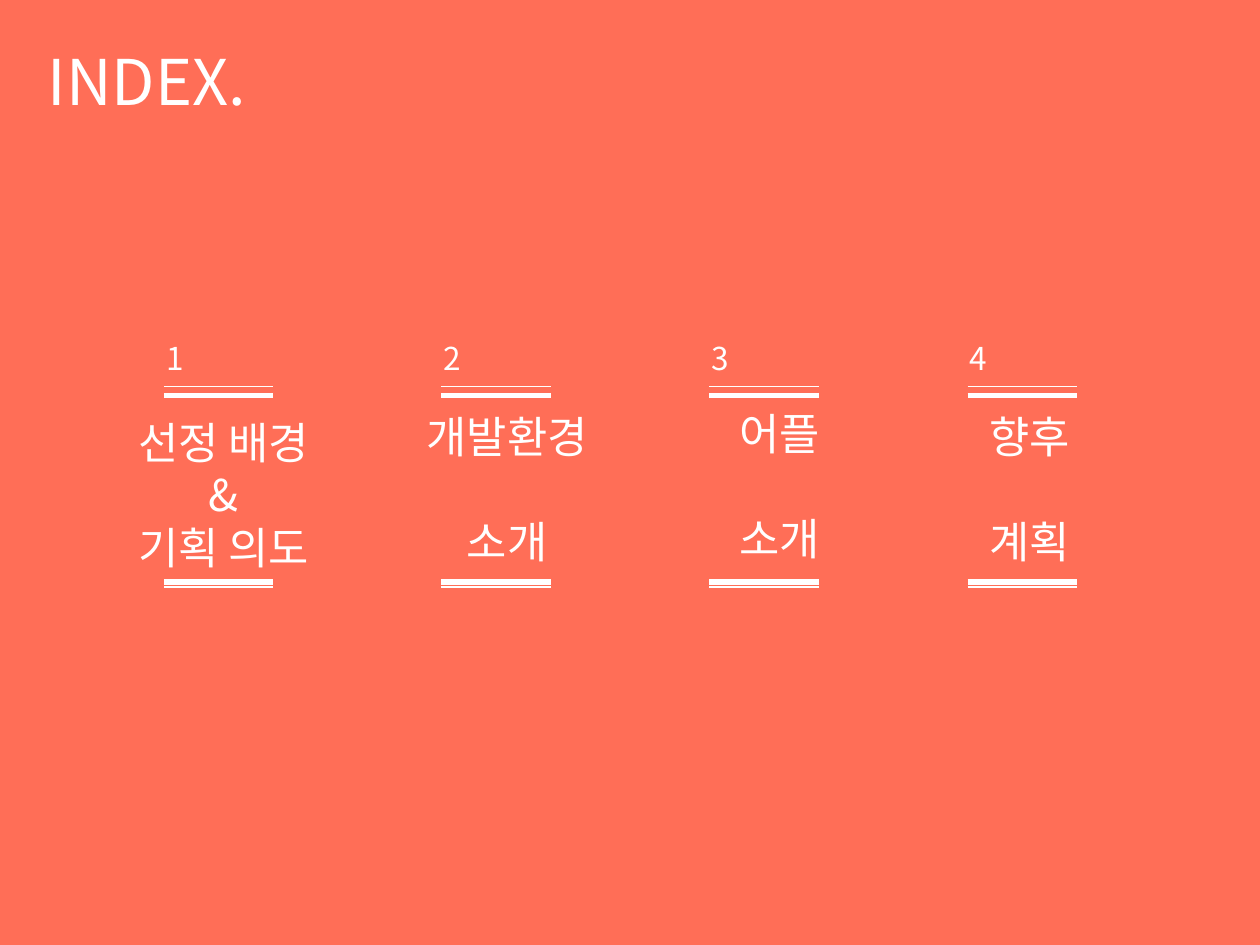
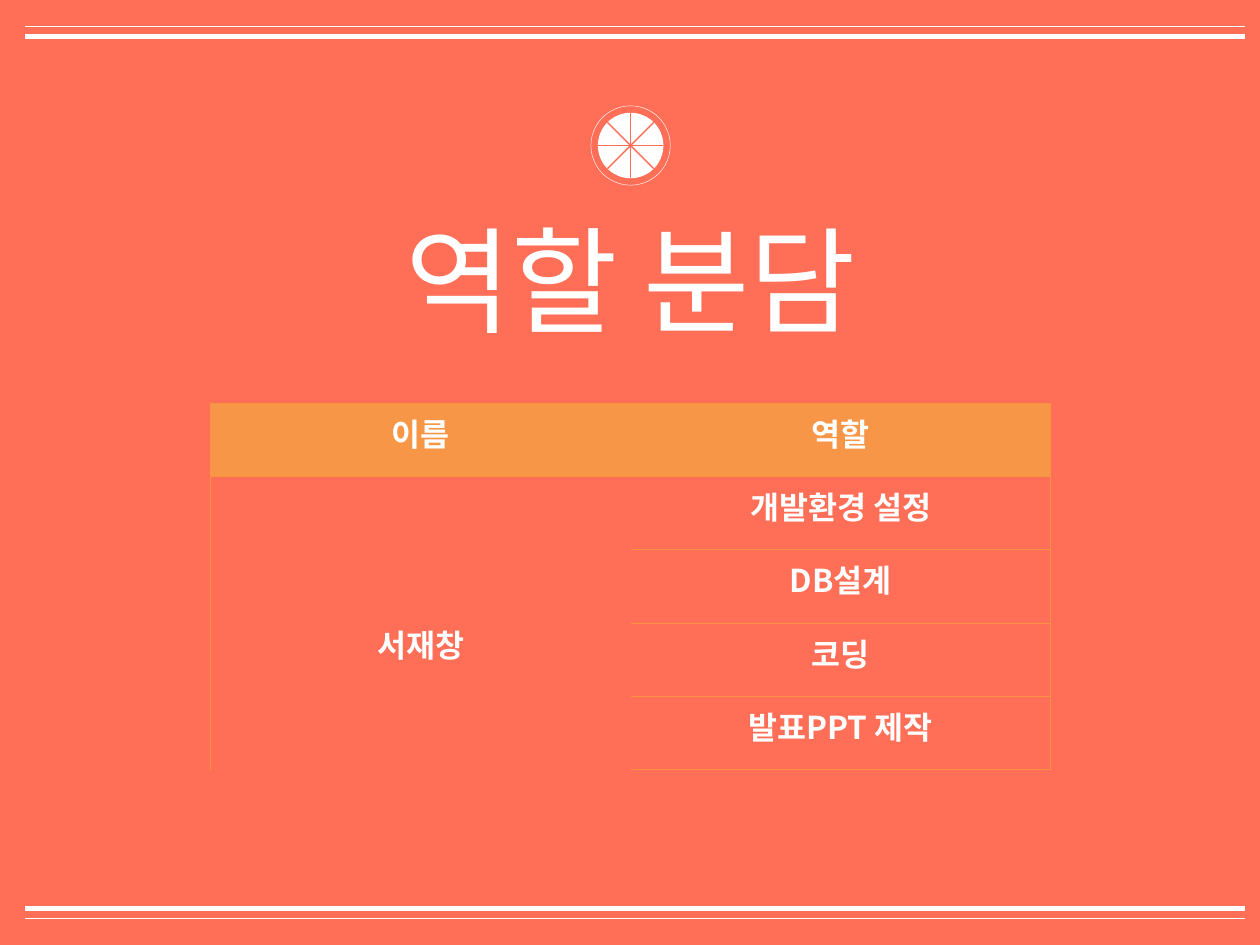
from math import cos, sin, pi
from pptx import Presentation
from pptx.dml.color import RGBColor as Rgb
from pptx.enum.shapes import MSO_CONNECTOR as Conn, MSO_SHAPE as Geo
from pptx.enum.text import MSO_ANCHOR as Anchor, PP_ALIGN as Align
from pptx.oxml import parse_xml
from pptx.oxml.ns import nsdecls, qn
from pptx.util import Inches, Pt
from lxml import etree

FONT = "Noto Sans CJK KR"
CORAL, WHITE, ORANGE, EDGE = "FF6E57", "FFFFFF", "F79646", "F69240"
THIN, THICK = 0.75, 3
WIDE, HIGH = 10, 7.5
PLAIN = "{2D5ABB26-0587-4C30-8999-92F81FD0307C}"  # table style without grid


def color(code):
    return Rgb.from_string(code)


def write(frame, lines, size=18, align=Align.LEFT, bold=False, gap=0, pitch=None):
    """Fill a text frame; gap is the space before each later line."""
    frame.word_wrap = True
    for i, line in enumerate(lines):
        para = frame.paragraphs[0] if i == 0 else frame.add_paragraph()
        para.alignment = align
        if pitch:
            para.line_spacing = Pt(pitch)
        if i and gap:
            para.space_before = Pt(gap)
        run = para.add_run()
        run.text = line
        font = run.font
        font.size, font.bold, font.name = Pt(size), bold, FONT
        font.color.rgb = color(WHITE)
        etree.SubElement(run._r.get_or_add_rPr(), qn("a:ea")).set("typeface", FONT)


def text(slide, box, lines, **style):
    frame = slide.shapes.add_textbox(*map(Inches, box)).text_frame
    write(frame, lines, **style)


def shape(shapes, geo, box, fill=None, line=None, width=THIN):
    item = shapes.add_shape(geo, *map(Inches, box))
    item.shadow.inherit = False
    if fill:
        item.fill.solid()
        item.fill.fore_color.rgb = color(fill)
    else:
        item.fill.background()
    if line:
        item.line.color.rgb = color(line)
        item.line.width = Pt(width)
    else:
        item.line.fill.background()


def rule(shapes, x1, y1, x2, y2, hue=WHITE, width=THIN):
    line = shapes.add_connector(Conn.STRAIGHT, *map(Inches, (x1, y1, x2, y2)))
    line.line.color.rgb = color(hue)
    line.line.width = Pt(width)
    etree.SubElement(line._element.spPr, qn("a:effectLst"))


def double(shapes, x, y, width, step):
    """Thin rule at y, thick rule one step away."""
    rule(shapes, x, y, x + width, y)
    rule(shapes, x, y + step, x + width, y + step, width=THICK)


def start(deck):
    slide = deck.slides.add_slide(deck.slide_layouts[6])
    shape(slide.shapes, Geo.RECTANGLE, (0, 0, WIDE, HIGH), CORAL)
    return slide


def entry(slide, x, num, box, lines, gap):
    """One index column, with rules starting at x."""
    text(slide, box, lines, size=25, align=Align.CENTER, gap=gap, pitch=30)
    double(slide.shapes, x, 3.07, 0.87, 0.07)
    double(slide.shapes, x, 4.66, 0.87, -0.04)
    text(slide, (x - 0.08, 2.64, 1.26, 0.39), [str(num)])


def index(deck):
    slide = start(deck)
    text(slide, (0.28, 0.29, 3.39, 0.71), ["INDEX."], size=36)
    items = [
        (1.3, (0.91, 3.25, 1.73, 1.36), ["선정 배경", "&", "기획 의도"], 0),
        (3.5, (3.21, 3.2, 1.63, 1.36), ["개발환경", "소개"], 30),
        (5.63, (5.41, 3.18, 1.56, 1.36), ["어플", "소개"], 30),
        (7.68, (7.54, 3.2, 1.26, 1.36), ["향후", "계획"], 30),
    ]
    for num, (x, box, lines, gap) in enumerate(items, 1):
        entry(slide, x, num, box, lines, gap)


def fruit(slide, x, y, size):
    """Ring around a disc cut into eight slices."""
    group = slide.shapes.add_group_shape().shapes
    shape(group, Geo.OVAL, (x, y, size, size), line=WHITE, width=0.25)
    rad, cx, cy = 0.26, x + size / 2, y + size / 2
    shape(group, Geo.OVAL, (cx - rad, cy - rad, 2 * rad, 2 * rad), WHITE)
    for turn in range(4):
        dx, dy = rad * cos(turn * pi / 4), rad * sin(turn * pi / 4)
        rule(group, cx - dx, cy - dy, cx + dx, cy + dy, CORAL)


def border(cell, sides):
    """Sides maps L, R, T, B to widths in points."""
    props = cell._tc.get_or_add_tcPr()
    for side in "LRTB":
        if side in sides:
            props.append(parse_xml(
                f'<a:ln{side} {nsdecls("a")} w="{int(Pt(sides[side]))}"><a:solidFill>'
                f'<a:srgbClr val="{EDGE}"/></a:solidFill></a:ln{side}>'))


def roles(slide, x, y, width, height):
    rows = [("이름", "역할"), ("서재창", "개발환경 설정"), ("", "DB설계"),
            ("", "코딩"), ("", "발표PPT 제작")]
    last = len(rows) - 1
    frame = slide.shapes.add_table(len(rows), 2, *map(Inches, (x, y, width, height)))
    table = frame.table
    table.horz_banding = False
    table._tbl.tblPr.find(qn("a:tableStyleId")).text = PLAIN
    table.cell(1, 0).merge(table.cell(last, 0))
    for r, row in enumerate(rows):
        for c, word in enumerate(row):
            cell = table.cell(r, c)
            sides = {"LR"[c]: THIN}
            if r < 2 or c == 1:
                sides["T"] = 0.25 if r in (2, 3) else THIN
            if r == last:
                sides["B"] = THIN
            border(cell, sides)
            if r == 0:
                cell.fill.solid()
                cell.fill.fore_color.rgb = color(ORANGE)
            else:
                cell.fill.background()
            if word:
                write(cell.text_frame, [word], align=Align.CENTER, bold=True)
    # The name sits a little below the middle of its tall cell
    name = table.cell(1, 0)
    name.vertical_anchor = Anchor.MIDDLE
    name.margin_top = Inches(0.38)


def duty(deck):
    slide = start(deck)
    text(slide, (2.13, 1.61, 5.75, 1.2), ["역할 분담"], size=66, align=Align.CENTER)
    fruit(slide, 4.69, 0.84, 0.63)
    for y, step in ((0.21, 0.08), (7.29, -0.08)):
        double(slide.shapes.add_group_shape().shapes, 0.2, y, 9.68, step)
    roles(slide, 1.67, 3.2, 6.67, 2.91)


def main():
    deck = Presentation()
    deck.slide_width, deck.slide_height = Inches(WIDE), Inches(HIGH)
    index(deck)
    duty(deck)
    deck.save("out.pptx")


if __name__ == "__main__":
    main()
